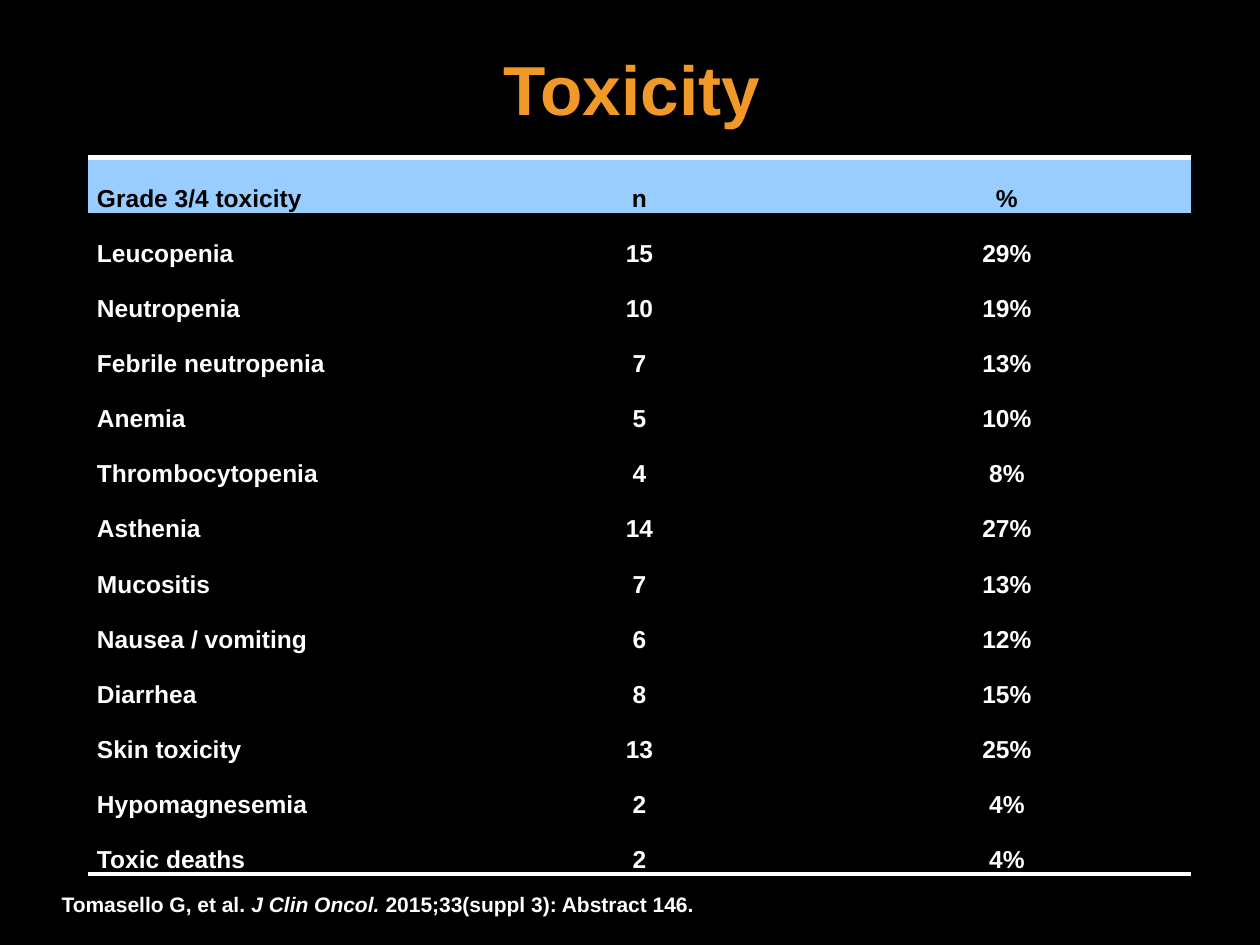
from dataclasses import dataclass

from lxml import etree
from pptx import Presentation
from pptx.dml.color import RGBColor
from pptx.enum import text as t
from pptx.oxml import ns
from pptx.util import Inches, Pt


@dataclass(frozen=True)
class Theme:
    """Colours, font and type sizes of the slide."""
    background: str = "000000"
    title: str = "F09828"
    header_fill: str = "99CCFF"
    header_text: str = "000000"
    body_text: str = "FFFFFF"
    rule: str = "FFFFFF"
    font: str = "Arial"
    title_size: float = 39.6
    table_size: float = 14
    citation_size: float = 12
    rule_width: float = 3


THEME = Theme()

TOXICITIES = [
    ("Grade 3/4 toxicity", "n", "%"),
    ("Leucopenia", "15", "29%"),
    ("Neutropenia", "10", "19%"),
    ("Febrile neutropenia", "7", "13%"),
    ("Anemia", "5", "10%"),
    ("Thrombocytopenia", "4", "8%"),
    ("Asthenia", "14", "27%"),
    ("Mucositis", "7", "13%"),
    ("Nausea / vomiting", "6", "12%"),
    ("Diarrhea", "8", "15%"),
    ("Skin toxicity", "13", "25%"),
    ("Hypomagnesemia", "2", "4%"),
    ("Toxic deaths", "2", "4%"),
]


def write(paragraph, words, size, color, italic=False, align=t.PP_ALIGN.LEFT, spacing=None):
    """Add a formatted bold run to a paragraph."""
    paragraph.alignment = align
    if spacing:
        paragraph.line_spacing = spacing
    run = paragraph.add_run()
    run.text = words
    run.font.name = THEME.font
    run.font.size = Pt(size)
    run.font.bold = True
    run.font.italic = italic
    run.font.color.rgb = RGBColor.from_string(color)


def set_borders(cell, ruled_sides):
    """Rule the given sides of a cell and clear the others."""
    properties = cell._tc.get_or_add_tcPr()
    for side in "LRTB":
        border = etree.SubElement(properties, ns.qn(f"a:ln{side}"))
        if side in ruled_sides:
            border.set("w", str(Pt(THEME.rule_width)))
            fill = etree.SubElement(border, ns.qn("a:solidFill"))
            etree.SubElement(fill, ns.qn("a:srgbClr")).set("val", THEME.rule)
        else:
            etree.SubElement(border, ns.qn("a:noFill"))


def place_title(slide, left, top, width, height):
    """Put the heading in the title placeholder."""
    title = slide.shapes.title
    title.left, title.top, title.width, title.height = left, top, width, height
    title.text_frame.vertical_anchor = t.MSO_ANCHOR.MIDDLE
    write(title.text_frame.paragraphs[0], "Toxicity", THEME.title_size, THEME.title,
          align=t.PP_ALIGN.CENTER)


def place_toxicity_table(slide, left, top, width, height):
    """Build the toxicity table with a filled header and outer rules."""
    last = len(TOXICITIES) - 1
    table = slide.shapes.add_table(len(TOXICITIES), 3, left, top, width, height).table
    table.horz_banding = False
    for row, values in enumerate(TOXICITIES):
        for column, value in enumerate(values):
            cell = table.cell(row, column)
            cell.margin_left = cell.margin_right = Inches(0.07)
            cell.margin_top = cell.margin_bottom = 0
            set_borders(cell, {0: "T", last: "B"}.get(row, ""))
            if row == 0:
                cell.fill.solid()
                cell.fill.fore_color.rgb = RGBColor.from_string(THEME.header_fill)
            else:
                cell.fill.background()
            write(cell.text_frame.paragraphs[0], value, THEME.table_size,
                  THEME.body_text if row else THEME.header_text,
                  align=t.PP_ALIGN.CENTER if column else t.PP_ALIGN.LEFT, spacing=2.0)


def place_citation(slide, left, top, width, height):
    """Add the source line with the journal in italics."""
    frame = slide.shapes.add_textbox(left, top, width, height).text_frame
    frame.word_wrap = True
    frame.auto_size = t.MSO_AUTO_SIZE.SHAPE_TO_FIT_TEXT
    for words, italic in [("Tomasello G, et al. ", False), ("J Clin Oncol. ", True),
                          ("2015;33(suppl 3): Abstract 146.", False)]:
        write(frame.paragraphs[0], words, THEME.citation_size, THEME.body_text, italic=italic)


def main():
    """Build and save the slide."""
    deck = Presentation()
    deck.slide_width, deck.slide_height = Inches(10), Inches(7.5)
    slide = deck.slides.add_slide(deck.slide_layouts[5])
    slide.background.fill.solid()
    slide.background.fill.fore_color.rgb = RGBColor.from_string(THEME.background)
    place_title(slide, Inches(0.5), Inches(0.31), Inches(9.03), Inches(0.78))
    place_toxicity_table(slide, Inches(0.7), Inches(1.25), Inches(8.75), Inches(5.2))
    place_citation(slide, Inches(0.39), Inches(7.03), Inches(9), Inches(0.3))
    deck.save("out.pptx")


if __name__ == "__main__":
    main()
